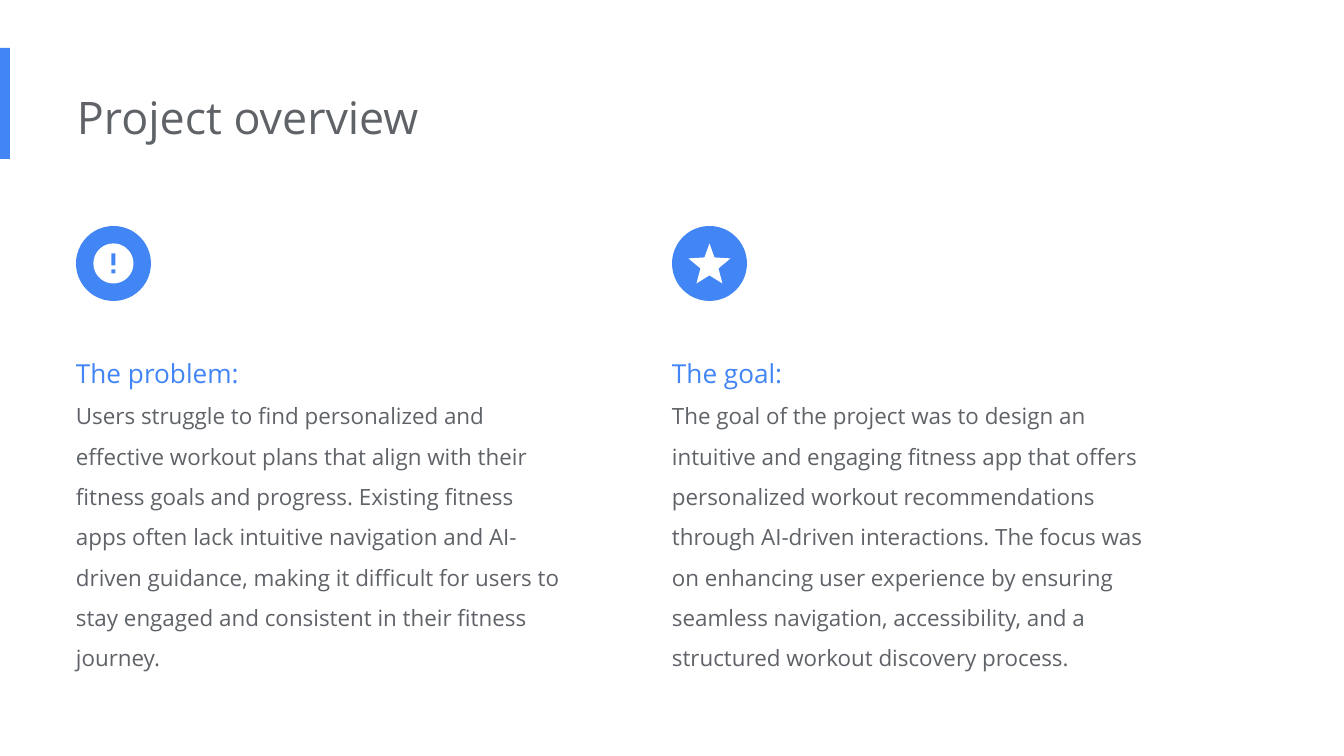
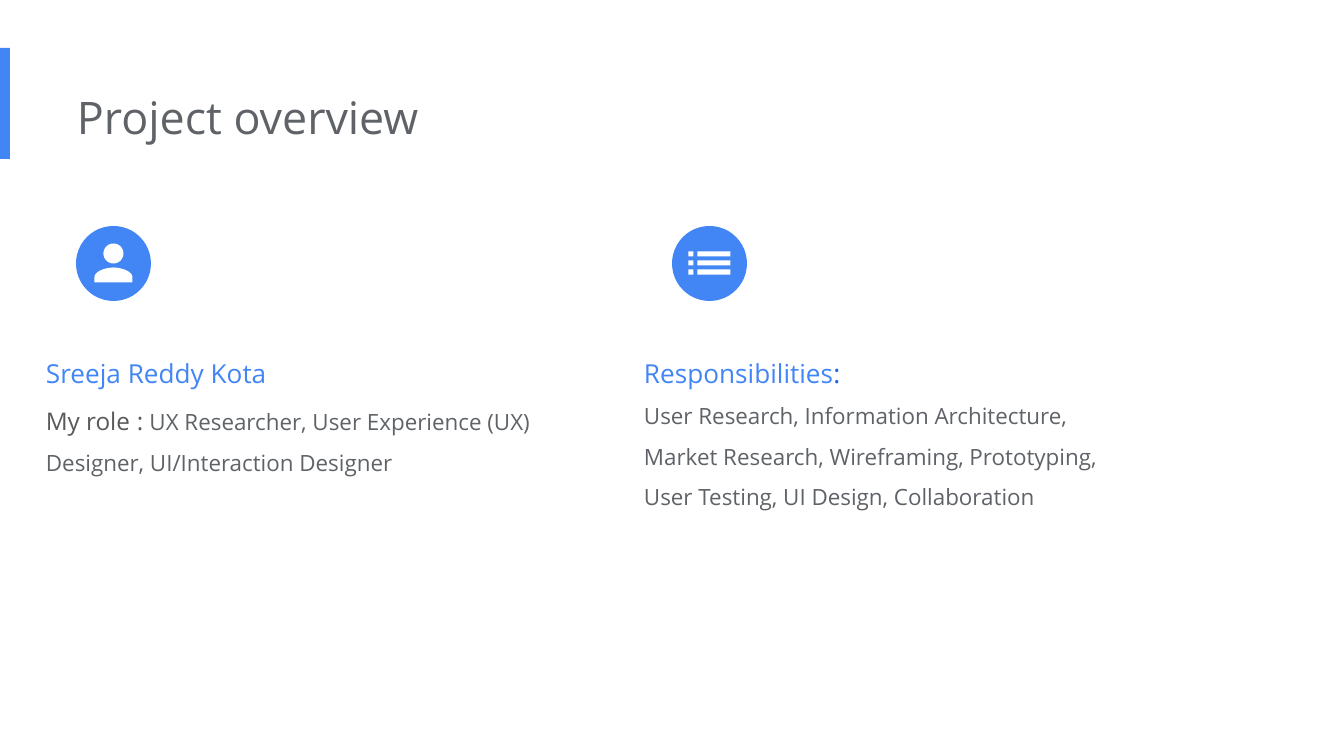
from dataclasses import dataclass
from math import cos, pi, sin

from pptx import Presentation
from pptx.dml.color import RGBColor
from pptx.enum.shapes import MSO_SHAPE as Shape
from pptx.enum.text import MSO_AUTO_SIZE as AutoSize
from pptx.util import Emu, Pt

PX = 914400 / 134.4  # EMU in one px


@dataclass(frozen=True)
class Theme:
    font: str = "Open Sans"
    blue: str = "4285F4"
    deep_blue: str = "1967D2"
    grey: str = "5F6368"
    dark_grey: str = "595959"
    white: str = "FFFFFF"
    title: int = 24
    heading: int = 14
    label: int = 13
    body: int = 12
    line_spacing: float = 1.5


T = Theme()
# Run styles: size and colour
TITLE = (T.title, T.grey)
HEADING = (T.heading, T.blue)
HEADING_MARK = (T.heading, T.deep_blue)
LABEL = (T.label, T.dark_grey)
BODY = (T.body, T.grey)


def px(n):
    return Emu(round(n * PX))


def paint(shape, color):
    shape.shadow.inherit = False
    shape.fill.solid()
    shape.fill.fore_color.rgb = RGBColor.from_string(color)
    shape.line.fill.background()


def add_filled(s, kind, x, y, w, h, color):
    paint(s.shapes.add_shape(kind, px(x), px(y), px(w), px(h)), color)


def add_text(s, x, y, w, h, paragraphs, spacing=None):
    """Each paragraph is a list of (text, style) runs."""
    tf = s.shapes.add_textbox(px(x), px(y), px(w), px(h)).text_frame
    tf.word_wrap = True
    tf.auto_size = AutoSize.SHAPE_TO_FIT_TEXT
    tf.margin_left = 0
    tf.margin_top = tf.margin_right = tf.margin_bottom = px(13)
    for i, runs in enumerate(paragraphs):
        p = tf.paragraphs[0] if i == 0 else tf.add_paragraph()
        p.line_spacing = spacing
        for text, (size, color) in runs:
            r = p.add_run()
            r.text = text
            r.font.name = T.font
            r.font.size = Pt(size)
            r.font.color.rgb = RGBColor.from_string(color)


# Icon outlines, in px from the centre of the badge
def rect(left, top, right, bottom):
    return [(left, top), (right, top), (right, bottom), (left, bottom)]


def circle(cy, radius, steps=60):
    angles = [2 * pi * i / steps for i in range(steps)]
    return [(radius * cos(a), cy + radius * sin(a)) for a in angles]


def curve(a, b, c, d, steps=16):
    points = []
    for i in range(steps + 1):
        t = i / steps
        weights = ((1 - t) ** 3, 3 * t * (1 - t) ** 2, 3 * t * t * (1 - t), t ** 3)
        points.append(tuple(sum(k * q[axis] for k, q in zip(weights, (a, b, c, d)))
                            for axis in (0, 1)))
    return points


def mirrored(right_half):
    return right_half + [(-x, y) for x, y in reversed(right_half) if x]


def alert_icon():
    holes = [rect(-2, -10, 2, 2), rect(-2, 6, 2, 10)]
    return [circle(0, 20)] + [hole[::-1] for hole in holes]


def star_icon():
    return [mirrored([(0, -20), (5, -6), (21, -5), (9, 5), (13, 20), (0, 12)])]


def person_icon():
    shoulder = curve((0, 4), (6, 4), (19, 7), (19, 14))
    return [circle(-10, 10), mirrored(shoulder + [(19, 19)])]


def list_icon():
    return [rect(left, top, right, top + 5)
            for top in range(-12, 7, 9) for left, right in ((-21, -16), (-12, 21))]


def add_badge(s, x, y, size, outlines):
    add_filled(s, Shape.OVAL, x, y, size, size, T.blue)
    placed = [[(px(x + size / 2 + dx), px(y + size / 2 + dy)) for dx, dy in outline]
              for outline in outlines]
    builder = s.shapes.build_freeform(*placed[0][0], scale=1.0)
    for i, points in enumerate(placed):
        if i:
            builder.move_to(*points[0])
        builder.add_line_segments(points[1:], close=True)
    paint(builder.convert_to_shape(), T.white)


def add_column(s, x, column):
    """Badge at x, with the text below it shifted sideways by its own offset."""
    add_badge(s, x, 226, 75, column["icon"])
    add_text(s, x + column["shift"], 329, 507, column["height"],
             column["text"], T.line_spacing)


def overview_slide(prs, columns):
    s = prs.slides.add_slide(prs.slide_layouts[6])
    # Accent bar and title
    add_filled(s, Shape.RECTANGLE, 0, 48, 10, 111, T.blue)
    add_text(s, 77, 77, 905, 82, [[("Project overview", TITLE)]])
    # Two columns
    for i, column in enumerate(columns):
        add_column(s, 76 + 596 * i, column)


PROBLEM_AND_GOAL = [
    dict(icon=alert_icon(), shift=0, height=387, text=[
        [("The problem:", HEADING)],
        [("Users struggle to find personalized and effective workout plans that "
          "align with their fitness goals and progress. Existing fitness apps "
          "often lack intuitive navigation and AI-driven guidance, making it "
          "difficult for users to stay engaged and consistent in their fitness "
          "journey.", BODY)]]),
    dict(icon=star_icon(), shift=0, height=387, text=[
        [("The goal:", HEADING)],
        [("The goal of the project was to design an intuitive and engaging "
          "fitness app that offers personalized workout recommendations through "
          "AI-driven interactions. The focus was on enhancing user experience by "
          "ensuring seamless navigation, accessibility, and a structured workout "
          "discovery process.", BODY)]]),
]

ROLE_AND_DUTIES = [
    dict(icon=person_icon(), shift=-30, height=235, text=[
        [("Sreeja Reddy Kota", HEADING)],
        [("My role", LABEL), (" ", HEADING), (": ", LABEL),
         ("UX Researcher, User Experience (UX) Designer, "
          "UI/Interaction Designer", BODY)]]),
    dict(icon=list_icon(), shift=-28, height=265, text=[
        [("Responsibilities", HEADING), (":", HEADING_MARK)],
        [("User Research, Information Architecture, Market Research, "
          "Wireframing, Prototyping, User Testing, UI Design, "
          "Collaboration", BODY)]]),
]


def main():
    prs = Presentation()
    prs.slide_width, prs.slide_height = px(1344), px(756)
    for columns in (PROBLEM_AND_GOAL, ROLE_AND_DUTIES):
        overview_slide(prs, columns)
    prs.save("out.pptx")


if __name__ == "__main__":
    main()
